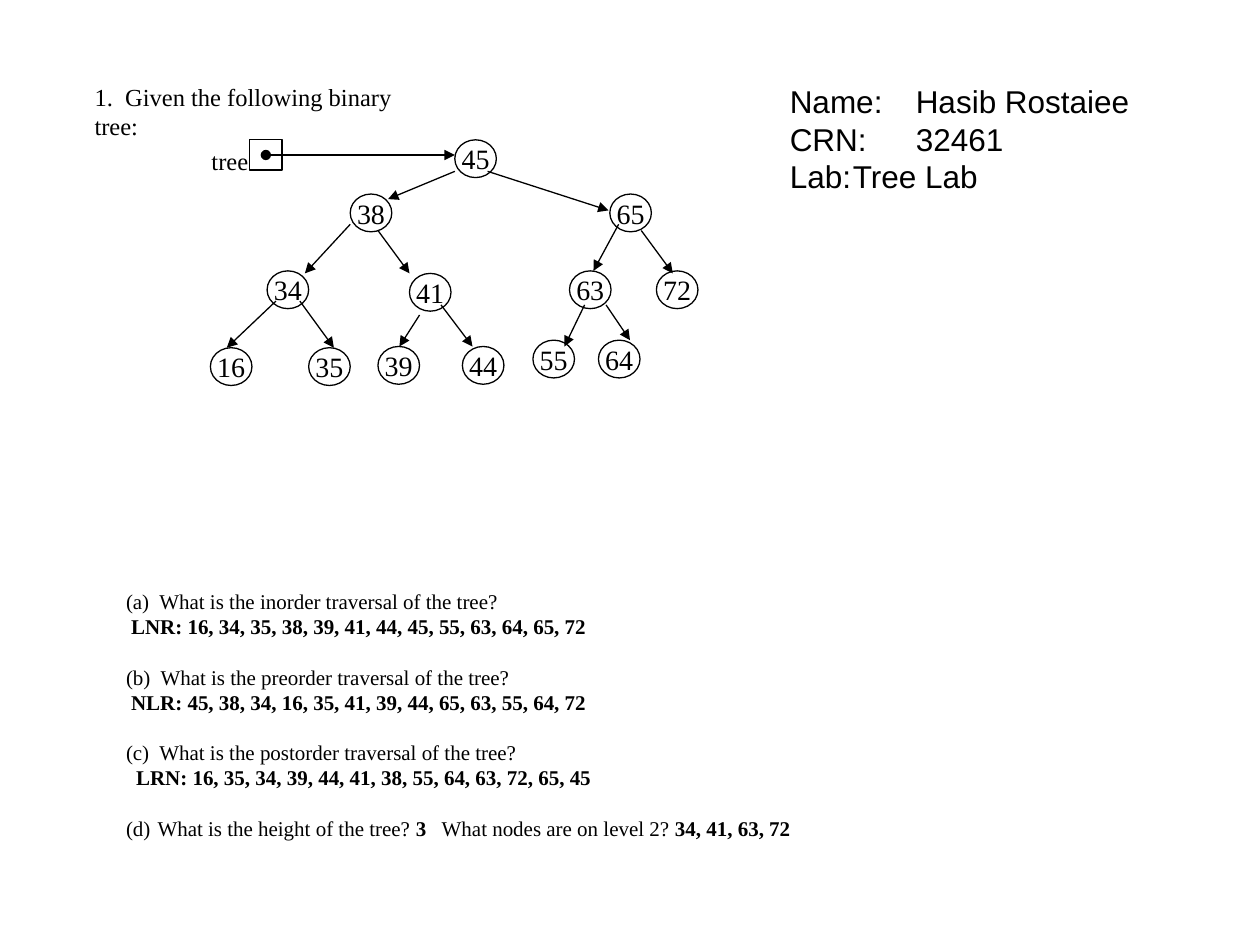
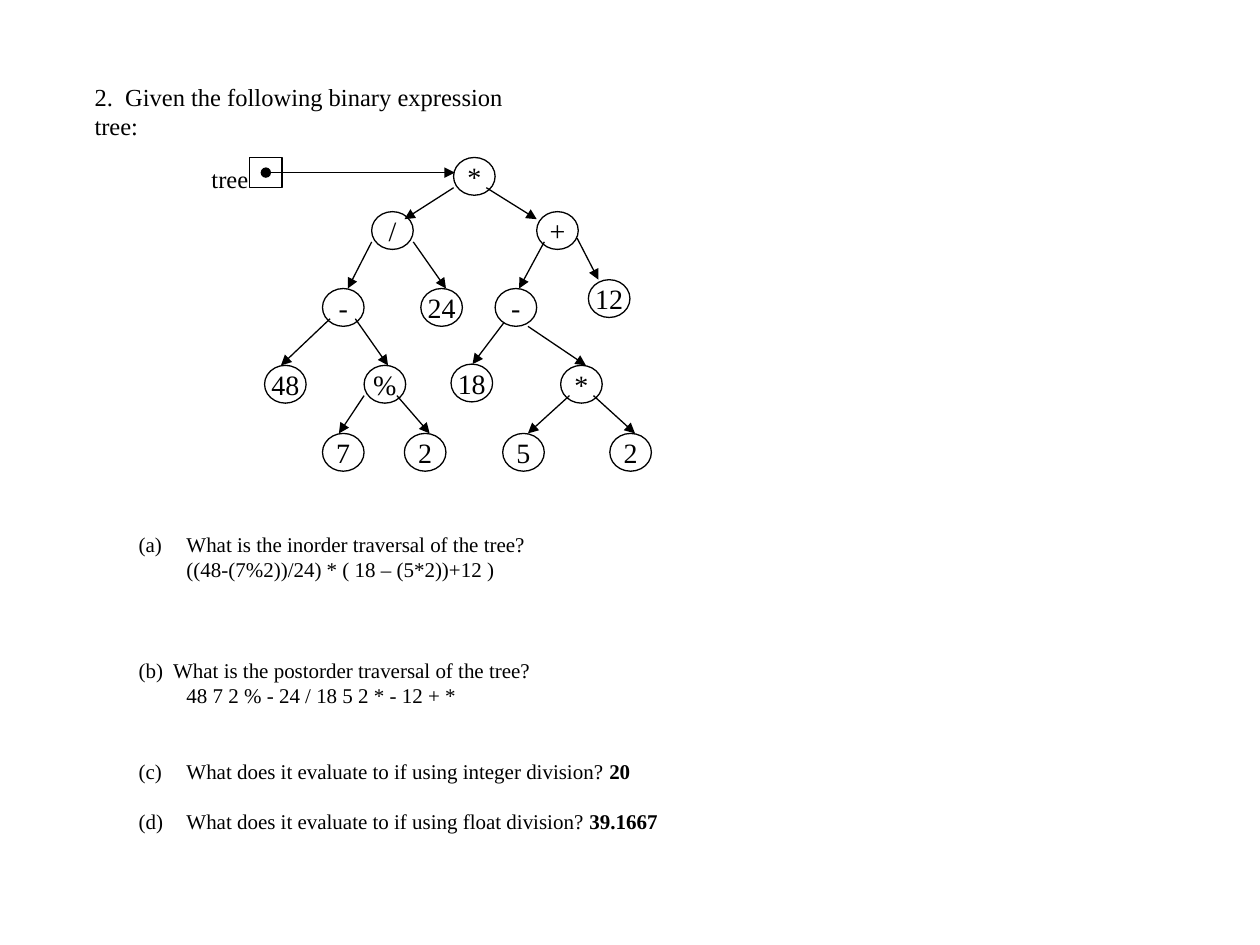
from dataclasses import dataclass

from lxml import etree
from pptx import Presentation
from pptx.dml.color import RGBColor
from pptx.enum.shapes import MSO_CONNECTOR, MSO_SHAPE
from pptx.enum.text import MSO_ANCHOR, MSO_AUTO_SIZE, PP_ALIGN
from pptx.oxml.ns import qn
from pptx.util import Inches, Pt

OVAL, RECT = MSO_SHAPE.OVAL, MSO_SHAPE.RECTANGLE
STRAIGHT = MSO_CONNECTOR.STRAIGHT
LEFT, CENTER = PP_ALIGN.LEFT, PP_ALIGN.CENTER
TOP, MIDDLE = MSO_ANCHOR.TOP, MSO_ANCHOR.MIDDLE
NO_FIT = MSO_AUTO_SIZE.NONE


@dataclass(frozen=True)
class Theme:
    """Colours, fonts and sizes shared by the slides."""
    ink: RGBColor = RGBColor(0, 0, 0)
    serif: str = "Times New Roman"
    sans: str = "Arial"
    heading: int = 14
    body: int = 12
    node: int = 16
    name: int = 18
    leading: float = 1.2
    line: float = 0.75


T = Theme()
NODE_W, NODE_H = 0.33, 0.3

# Nodes: label, left, top, arrow from the parent (x1, y1, x2, y2),
# all in inches from the top left corner of the tree.
SEARCH_TREE = [
    ("45", 2.03, 0, None),
    ("38", 1.2, 0.43, (2.03, 0.25, 1.5, 0.47)),
    ("65", 3.26, 0.43, (2.29, 0.25, 3.25, 0.56)),
    ("34", 0.54, 1.04, (1.2, 0.67, 0.84, 1.06)),
    ("41", 1.67, 1.06, (1.42, 0.72, 1.67, 1.06)),
    ("63", 2.94, 1.04, (3.33, 0.67, 3.13, 1.04)),
    ("72", 3.63, 1.04, (3.51, 0.72, 3.76, 1.06)),
    ("16", 0.09, 1.65, (0.61, 1.28, 0.22, 1.65)),
    ("35", 0.87, 1.65, (0.8, 1.28, 1.07, 1.65)),
    ("39", 1.42, 1.64, (1.75, 1.39, 1.59, 1.64)),
    ("44", 2.09, 1.64, (1.92, 1.31, 2.17, 1.64)),
    ("55", 2.65, 1.59, (3.06, 1.31, 2.9, 1.64)),
    ("64", 3.17, 1.59, (3.23, 1.31, 3.42, 1.59)),
]
EXPRESSION_TREE = [
    ("*", 2.02, 0, None),
    ("/", 1.37, 0.43, (2.02, 0.24, 1.63, 0.49)),
    ("+", 2.68, 0.43, (2.28, 0.24, 2.68, 0.49)),
    ("-", 0.98, 1.04, (1.37, 0.67, 1.18, 1.04)),
    ("24", 1.76, 1.04, (1.7, 0.67, 1.96, 1.04)),
    ("-", 2.35, 1.04, (2.74, 0.67, 2.54, 1.04)),
    ("12", 3.09, 0.97, (3, 0.64, 3.17, 0.97)),
    ("48", 0.52, 1.65, (1.04, 1.28, 0.65, 1.65)),
    ("%", 1.31, 1.65, (1.24, 1.28, 1.5, 1.65)),
    ("18", 2, 1.64, (2.42, 1.31, 2.17, 1.64)),
    ("*", 2.87, 1.65, (2.61, 1.34, 3.07, 1.65)),
    ("7", 0.98, 2.19, (1.31, 1.89, 1.11, 2.19)),
    ("2", 1.63, 2.19, (1.57, 1.89, 1.83, 2.19)),
    ("5", 2.41, 2.19, (2.94, 1.89, 2.61, 2.19)),
    ("2", 3.26, 2.19, (3.13, 1.89, 3.46, 2.19)),
]

# Lines: empty lines before, letter number (0 for none), left margin,
# first line indent, runs in turn plain and bold.
SEARCH_QUESTIONS = [
    (0, 0, 0, 0, ["(a)  What is the inorder traversal of the tree?"]),
    (0, 0, 0.04, 0, ["", "LNR: 16, 34, 35, 38, 39, 41, 44, 45, 55, 63, 64, 65, 72"]),
    (1, 0, 0, 0, ["(b)  What is the preorder traversal of the tree?"]),
    (0, 0, 0.04, 0, ["", "NLR: 45, 38, 34, 16, 35, 41, 39, 44, 65, 63, 55, 64, 72"]),
    (1, 0, 0, 0, ["(c)  What is the postorder traversal of the tree?"]),
    (0, 0, 0.08, 0, ["", "LRN: 16, 35, 34, 39, 44, 41, 38, 55, 64, 63, 72, 65, 45"]),
    (1, 4, 0.25, -0.25, ["What is the height of the tree? ", "3 ",
                         "  What nodes are on level 2? ", "34, 41, 63, 72"]),
]
EXPRESSION_QUESTIONS = [
    (0, 1, 0.38, -0.38, ["What is the inorder traversal of the tree?"]),
    (0, 0, 0.38, 0, ["((48-(7%2))/24) * ( 18 – (5*2))+12 )"]),
    (3, 0, 0.38, -0.38, ["(b)  What is the postorder traversal of the tree?"]),
    (0, 0, 0.38, 0, ["48 7 2 % - 24 / 18 5 2 * - 12 + *"]),
    (2, 3, 0.38, -0.38, ["What does it evaluate to if using integer division? ", "20"]),
    (1, 4, 0.38, -0.38, ["What does it evaluate to if using float division? ", "39.1667"]),
]


def place(s, left, top, width, height):
    """Move a shape to a box given in inches."""
    s.left, s.top, s.width, s.height = map(Inches, (left, top, width, height))


def style(p, size, font=T.serif, align=LEFT, leading=True):
    """Format a paragraph and its runs."""
    p.alignment = align
    p.space_before = Pt(0)
    if leading:
        p.line_spacing = Pt(round(size * T.leading, 1))
    for r in p.runs:
        r.font.name, r.font.size = font, Pt(size)
        r.font.color.rgb = T.ink


def frame(s, wrap=True, anchor=TOP):
    """Return the text frame of a shape, with fixed size."""
    tf = s.text_frame
    tf.auto_size, tf.word_wrap, tf.vertical_anchor = NO_FIT, wrap, anchor
    return tf


def add_text(slide, box, text, size, font=T.serif, wrap=True):
    """Add a text box of one or more lines."""
    s = slide.shapes.add_textbox(0, 0, 0, 0)
    place(s, *box)
    tf = frame(s, wrap)
    tf.text = text
    for p in tf.paragraphs:
        style(p, size, font)


def add_outline(slide, kind, box, text=""):
    """Add an unfilled shape with a thin outline and a centred label."""
    s = slide.shapes.add_shape(kind, 0, 0, 0, 0)
    place(s, *box)
    s.shadow.inherit = False
    s.fill.background()
    s.line.color.rgb, s.line.width = T.ink, Pt(T.line)
    if text:
        tf = frame(s, False, MIDDLE)
        tf.text = text
        style(tf.paragraphs[0], T.node, align=CENTER, leading=False)


def add_arrow(slide, x1, y1, x2, y2, head=None):
    """Add a straight arrow, with an optional mark at its start."""
    s = slide.shapes.add_connector(STRAIGHT, *map(Inches, (x1, y1, x2, y2)))
    s.line.color.rgb, s.line.width = T.ink, Pt(T.line)
    ln = s.line._get_or_add_ln()
    if head:
        etree.SubElement(ln, qn("a:headEnd"), type=head)
    etree.SubElement(ln, qn("a:tailEnd"), type="triangle")
    etree.SubElement(s._element.spPr, qn("a:effectLst"))


def add_tree(slide, left, top, nodes):
    """Draw the tree pointer, the nodes and the arrows between them."""
    add_outline(slide, RECT, (left + 0.4, top, 0.26, 0.24))
    add_text(slide, (left, top, 0.49, 0.33), "tree", T.heading, wrap=False)
    y = top + 0.12
    add_arrow(slide, left + 0.53, y, left + 2.03, y, head="oval")
    for label, x, y, arrow in nodes:
        add_outline(slide, OVAL, (left + x, top + y, NODE_W, NODE_H), label)
        if arrow:
            x1, y1, x2, y2 = arrow
            add_arrow(slide, left + x1, top + y1, left + x2, top + y2)


def add_heading(slide, box, text):
    """Fill the title placeholder."""
    s = slide.shapes.title
    place(s, *box)
    tf = frame(s)
    tf.text = text
    style(tf.paragraphs[0], T.heading)


def add_questions(slide, box, lines):
    """Fill the body placeholder with questions and answers."""
    s = slide.placeholders[1]
    place(s, *box)
    tf = frame(s)
    for i, (gap, number, margin, indent, texts) in enumerate(lines):
        p = tf.paragraphs[0] if i == 0 else tf.add_paragraph()
        for j, text in enumerate(texts):
            if text:
                r = p.add_run()
                r.text, r.font.bold = text, j % 2 == 1
        style(p, T.body)
        p.space_before = Pt(round(gap * T.body * T.leading, 1))
        pPr = p._p.get_or_add_pPr()
        pPr.set("marL", str(Inches(margin)))
        pPr.set("indent", str(Inches(indent)))
        if number:
            etree.SubElement(pPr, qn("a:buFont"), typeface=T.serif)
            etree.SubElement(pPr, qn("a:buAutoNum"), type="alphaLcParenBoth",
                             startAt=str(number))
        else:
            etree.SubElement(pPr, qn("a:buNone"))


def add_exercise(prs, heading, width, tree_top, nodes, box, lines):
    """Add a slide with a heading, a tree and questions about it."""
    slide = prs.slides.add_slide(prs.slide_layouts[1])
    add_heading(slide, (0.65, 0.6, width, 0.6), heading)
    add_questions(slide, box, lines)
    add_tree(slide, 1.58, tree_top, nodes)
    return slide


def main():
    """Build the two exercises and save them."""
    prs = Presentation()
    prs.slide_width, prs.slide_height = Inches(10), Inches(7.5)
    slide = add_exercise(prs, "1.  Given the following binary tree:", 2.85, 1.11,
                         SEARCH_TREE, (0.9, 4.62, 7.18, 2.32), SEARCH_QUESTIONS)
    add_text(slide, (6.17, 0.6, 3, 1.01),
             "Name: \tHasib Rostaiee\nCRN:\t32461\nLab:\tTree Lab", T.name, T.sans)
    add_exercise(prs, "2.  Given the following binary expression tree:", 3.7, 1.25,
                 EXPRESSION_TREE, (1, 4.17, 8, 3.13), EXPRESSION_QUESTIONS)
    prs.save("out.pptx")


main()
